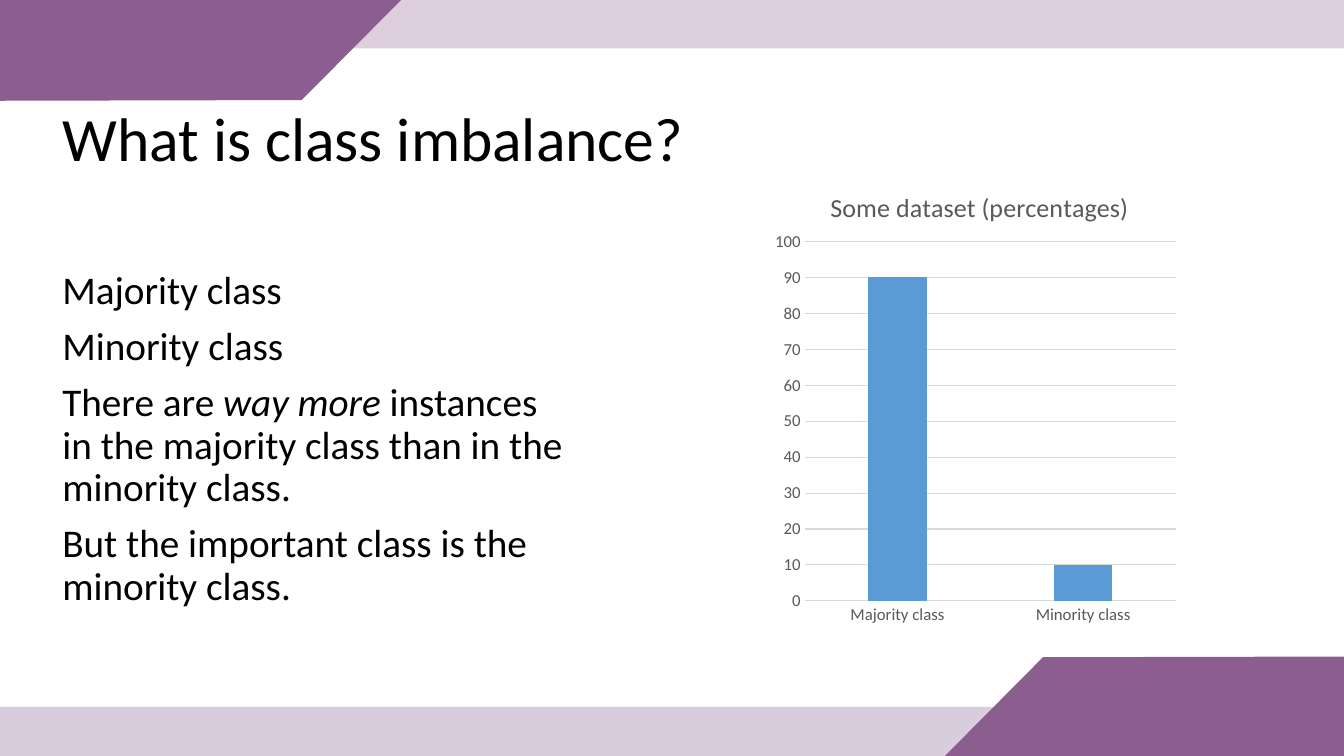
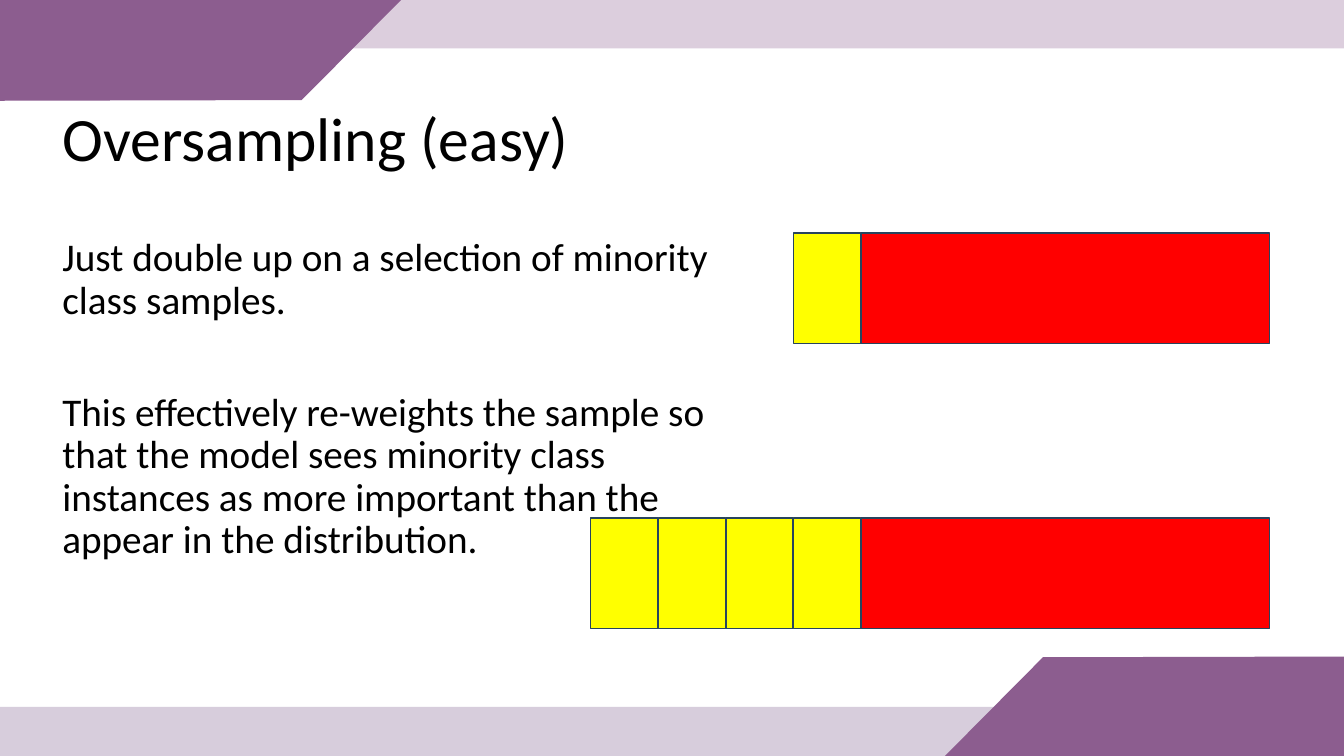
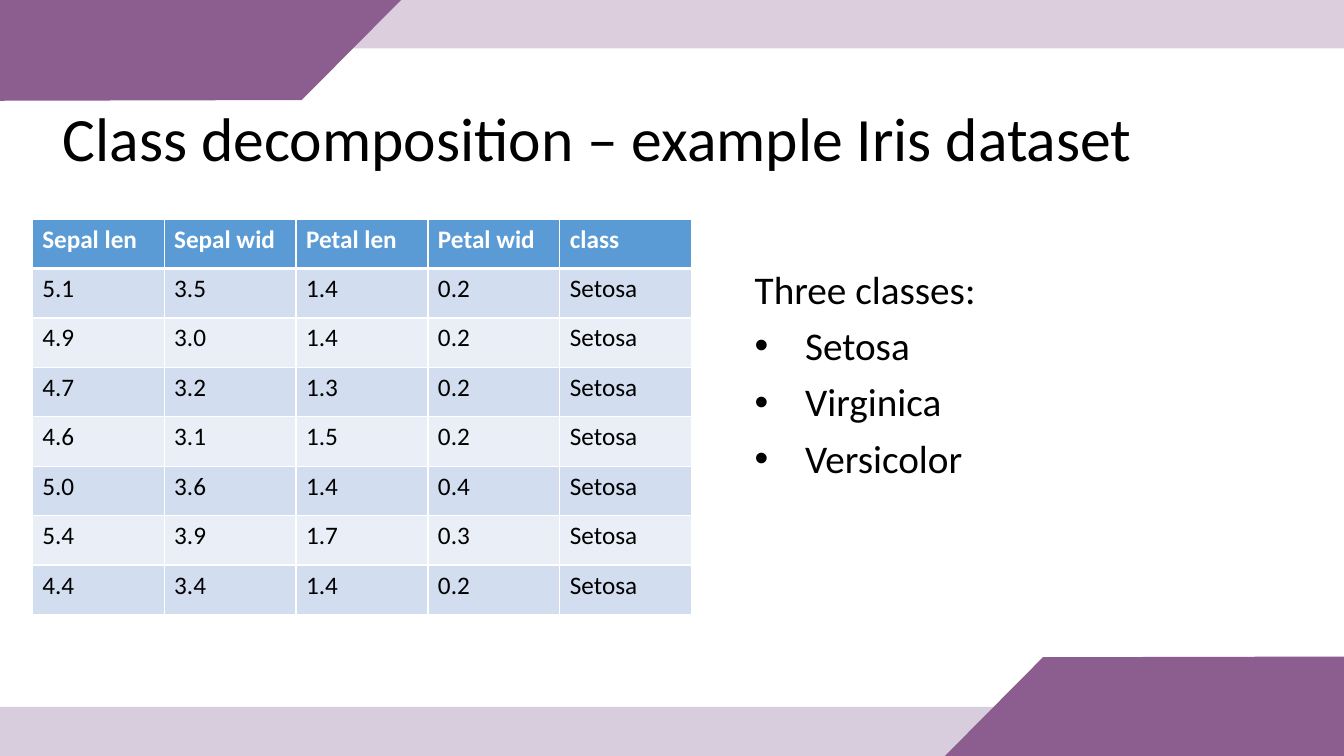
from lxml import etree
from pptx import Presentation
from pptx.chart.data import CategoryChartData
from pptx.dml.color import RGBColor
from pptx.enum.chart import XL_CHART_TYPE, XL_TICK_MARK
from pptx.enum.shapes import MSO_SHAPE
from pptx.enum.text import MSO_ANCHOR, MSO_AUTO_SIZE, PP_ALIGN
from pptx.oxml.ns import qn
from pptx.util import Pt

RECT = MSO_SHAPE.RECTANGLE
COLUMN = XL_CHART_TYPE.COLUMN_CLUSTERED
NO_TICK = XL_TICK_MARK.NONE
TOP = MSO_ANCHOR.TOP
LEFT = PP_ALIGN.LEFT
NO_FIT = MSO_AUTO_SIZE.NONE

FONT = "Calibri"
COLORS = {
    "ink": "000000", "white": "FFFFFF", "gray": "595959", "grid": "D9D9D9",
    "plum": "8C5D8F", "grape": "7C5A8E", "blue": "5B9BD5",
    "odd": "D2DEEF", "even": "EAEFF7",
    "minor": "FFFF00", "major": "FF0000", "edge": "28445D",
}


def color(name):
    return RGBColor.from_string(COLORS[name])


def style(font, size, tint="ink", bold=False, italic=False):
    font.name, font.size = FONT, Pt(size)
    font.bold, font.italic = bold, italic
    font.color.rgb = color(tint)


def write(par, text, space=0, lines=0.9, bullet=False, **look):
    """Fill a paragraph; words between asterisks are italic."""
    par.alignment = LEFT
    par.line_spacing = lines
    par.space_before = Pt(space)
    if bullet:
        props = par._p.get_or_add_pPr()
        props.set("marL", str(Pt(36)))
        props.set("indent", str(-Pt(36)))
        etree.SubElement(props, qn("a:buFont")).set("typeface", "Arial")
        etree.SubElement(props, qn("a:buChar")).set("char", "•")
    for i, part in enumerate(text.split("*")):
        run = par.add_run()
        run.text = part
        style(run.font, italic=i % 2 == 1, **look)


def place(parent, **spots):
    """Set a manual layout on a chart part, in shares of the chart."""
    layout = parent.find(qn("c:layout"))
    if layout is None:
        layout = etree.Element(qn("c:layout"))
        parent.insert(0, layout)
    manual = etree.SubElement(layout, qn("c:manualLayout"))
    for tag, val in spots.items():
        etree.SubElement(manual, qn("c:" + tag)).set("val", str(val))


class Deck:
    def __init__(self):
        self.prs = Presentation()
        self.prs.slide_width, self.prs.slide_height = Pt(960), Pt(540)
        self.layout = self.prs.slide_layouts[5]
        self.slide = None

    def start(self, title):
        first = self.slide is None
        self.slide = self.prs.slides.add_slide(self.layout)
        if first:
            self.bands()
        box = self.slide.shapes.title
        box.left, box.top, box.width, box.height = map(Pt, (37.5, 74, 869, 104))
        frame = box.text_frame
        frame.vertical_anchor, frame.auto_size = TOP, NO_FIT
        frame.word_wrap = True
        write(frame.paragraphs[0], title, size=44)

    def bands(self):
        """Draw the shared bands and hand them to the layout."""
        for holder in list(self.layout.placeholders):
            if holder.placeholder_format.idx:
                self.layout.shapes.element.remove(holder.element)
        parts = [
            self.rect(91, 0, 869, 34.5, "plum", alpha=30),
            self.flag((0, -0.5), (287, -0.5), (215.5, 71.5), (0, 72)),
            self.rect(0, 505, 780, 36.5, "grape", alpha=30),
            self.flag((960, 541), (674, 541), (745, 469.5), (960, 469)),
        ]
        for i, part in enumerate(parts):
            self.layout.shapes.element.insert(2 + i, part.element)

    def paint(self, shape, fill, line=None):
        shape.shadow.inherit = False
        shape.fill.solid()
        shape.fill.fore_color.rgb = color(fill)
        if line:
            shape.line.color.rgb = color(line)
            shape.line.width = Pt(1)
        else:
            shape.line.fill.background()
        return shape

    def rect(self, x, y, w, h, fill, line=None, alpha=None):
        shape = self.slide.shapes.add_shape(RECT, Pt(x), Pt(y), Pt(w), Pt(h))
        self.paint(shape, fill, line)
        if alpha:
            tone = shape.element.spPr.find(".//" + qn("a:srgbClr"))
            etree.SubElement(tone, qn("a:alpha")).set("val", str(alpha * 1000))
        return shape

    def flag(self, *spots):
        spots = [(Pt(x), Pt(y)) for x, y in spots]
        form = self.slide.shapes.build_freeform(*spots[0])
        form.add_line_segments(spots[1:], close=True)
        return self.paint(form.convert_to_shape(), "plum")

    def body(self, x, y, w, h, items, gap=10, bullets=False):
        box = self.slide.shapes.add_textbox(Pt(x), Pt(y), Pt(w), Pt(h))
        frame = box.text_frame
        frame.word_wrap = True
        for i, text in enumerate(items):
            par = frame.add_paragraph() if i else frame.paragraphs[0]
            write(par, text, space=gap if i else 0,
                  bullet=bullets and i > 0, size=28)

    def chart(self, x, y, w, h, title, cats, vals):
        data = CategoryChartData()
        data.categories = cats
        data.add_series("Series 1", vals)
        chart = self.slide.shapes.add_chart(
            COLUMN, Pt(x), Pt(y), Pt(w), Pt(h), data).chart
        style(chart.font, 10)
        chart.has_legend = False
        chart.has_title = True
        write(chart.chart_title.text_frame.paragraphs[0], title,
              lines=1.0, size=18.6, tint="gray")
        # Bars
        plot = chart.plots[0]
        plot.gap_width, plot.overlap = 219, -27
        plot.vary_by_categories = False
        fill = plot.series[0].format.fill
        fill.solid()
        fill.fore_color.rgb = color("blue")
        # Axes
        cat, val = chart.category_axis, chart.value_axis
        for axis in (cat, val):
            axis.major_tick_mark = axis.minor_tick_mark = NO_TICK
            style(axis.tick_labels.font, 12, "gray")
        val.minimum_scale, val.maximum_scale, val.major_unit = 0, 100, 10
        val.has_major_gridlines = True
        val.format.line.fill.background()
        for line in (cat.format.line, val.major_gridlines.format.line):
            line.color.rgb = color("grid")
            line.width = Pt(0.75)
        # Placing of title and plot
        root = chart.element
        place(root.find(".//" + qn("c:title")),
              xMode="edge", yMode="edge", x=0.14, y=0.05)
        place(root.find(".//" + qn("c:plotArea")), layoutTarget="inner",
              xMode="edge", yMode="edge", x=0.09, y=0.17, w=0.89, h=0.76)

    def table(self, x, y, wide, high, rows):
        count = len(rows[0])
        table = self.slide.shapes.add_table(
            len(rows), count, Pt(x), Pt(y),
            Pt(wide * count), Pt(high * len(rows))).table
        for col in table.columns:
            col.width = Pt(wide)
        for r, row in enumerate(rows):
            table.rows[r].height = Pt(high)
            head = r == 0
            fill = "blue" if head else ("even", "odd")[r % 2]
            for c, text in enumerate(row):
                cell = table.cell(r, c)
                cell.fill.solid()
                cell.fill.fore_color.rgb = color(fill)
                write(cell.text_frame.paragraphs[0], text, lines=1.0, size=18,
                      tint="white" if head else "ink", bold=head)
                self.edges(cell, top=3 if r == 1 else 1, low=3 if head else 1)

    def edges(self, cell, top, low):
        props = cell._tc.get_or_add_tcPr()
        sides = {"a:lnL": 1, "a:lnR": 1, "a:lnT": top, "a:lnB": low}
        for i, (tag, width) in enumerate(sides.items()):
            line = etree.Element(qn(tag), w=str(Pt(width)))
            solid = etree.SubElement(line, qn("a:solidFill"))
            tone = etree.SubElement(solid, qn("a:srgbClr"))
            tone.set("val", COLORS["white"])
            props.insert(i, line)

    def sample(self, y, count):
        """A row of minority cells that ends at the majority bar."""
        edge, step, high = 615, 48.25, 79
        for i in range(count, 0, -1):
            self.rect(edge - i * step, y, 48, high, "minor", "edge")
        self.rect(edge, y, 292, high, "major", "edge")


def main():
    deck = Deck()

    # Class imbalance
    deck.start("What is class imbalance?")
    deck.body(37.5, 189.5, 374.5, 263.5, [
        "Majority class",
        "Minority class",
        "There are *way more* instances in the majority class than in the "
        "minority class.",
        "But the important class is the minority class.",
    ])
    deck.chart(548, 115, 298, 338, "Some dataset (percentages)",
               ["Majority class", "Minority class"], [90, 10])

    # Oversampling
    deck.start("Oversampling (easy)")
    deck.body(37.5, 166.5, 479.5, 249, [
        "Just double up on a selection of minority class samples.",
        "This effectively re-weights the sample so that the model sees "
        "minority class instances as more important than the appear in the "
        "distribution.",
    ], gap=50)
    deck.sample(166.5, 1)
    deck.sample(370, 4)

    # Iris data
    deck.start("Class decomposition – example Iris dataset")
    deck.body(532, 189.5, 375, 235, [
        "Three classes:", "Setosa", "Virginica", "Versicolor",
    ], bullets=True)
    sizes = ["5.1 3.5 1.4 0.2", "4.9 3.0 1.4 0.2", "4.7 3.2 1.3 0.2",
             "4.6 3.1 1.5 0.2", "5.0 3.6 1.4 0.4", "5.4 3.9 1.7 0.3",
             "4.4 3.4 1.4 0.2"]
    names = ["Sepal len", "Sepal wid", "Petal len", "Petal wid", "class"]
    deck.table(23, 156.5, 94.25, 35.3,
               [names] + [row.split() + ["Setosa"] for row in sizes])

    deck.prs.save("out.pptx")


if __name__ == "__main__":
    main()
